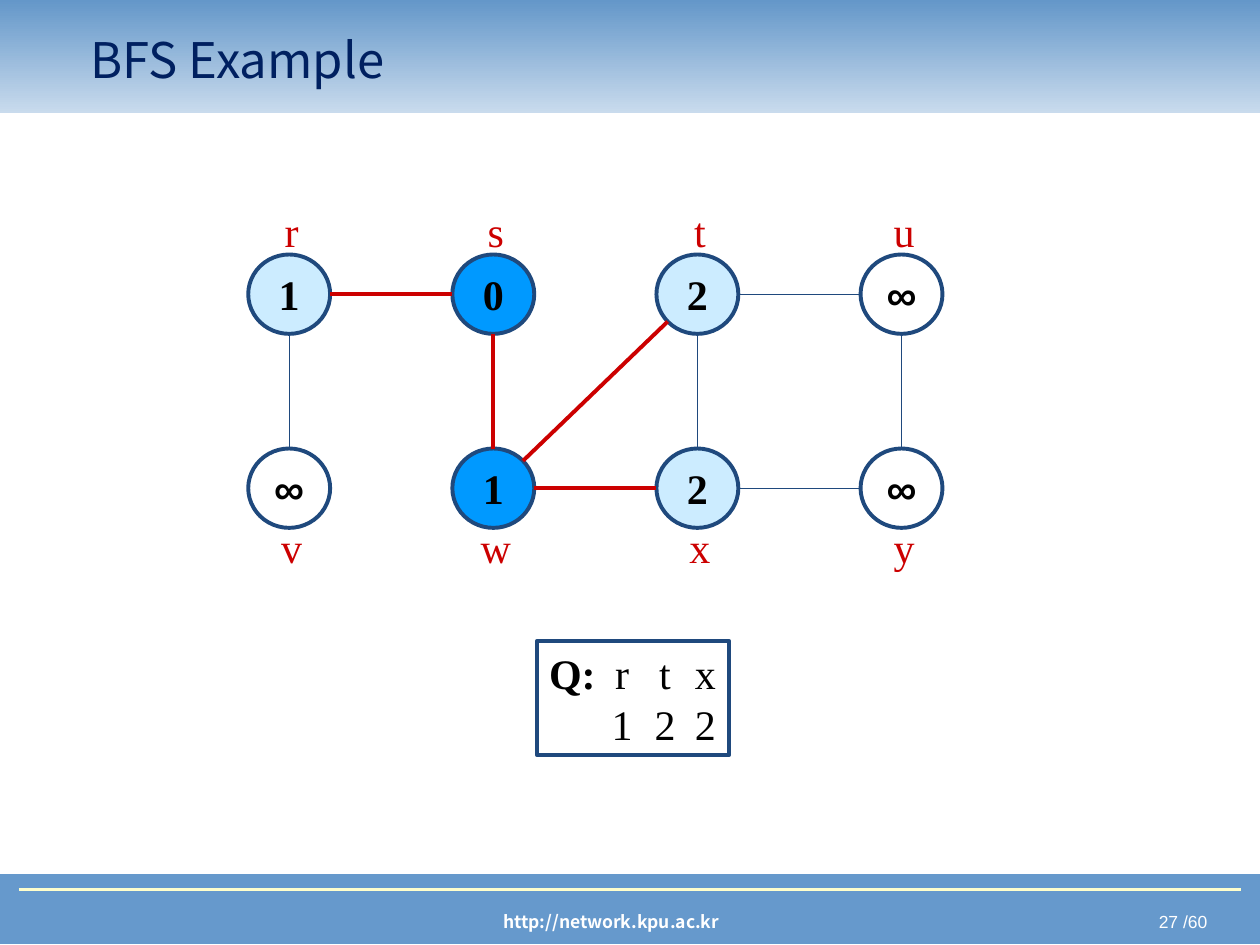
from math import hypot

from lxml import etree
from pptx import Presentation
from pptx.dml.color import RGBColor
from pptx.enum.shapes import MSO_CONNECTOR, MSO_SHAPE
from pptx.enum.text import MSO_ANCHOR, PP_ALIGN
from pptx.oxml.ns import qn
from pptx.util import Inches, Pt

RECT, OVAL = MSO_SHAPE.RECTANGLE, MSO_SHAPE.OVAL
LINE = MSO_CONNECTOR.STRAIGHT
LEFT, CENTER, RIGHT = PP_ALIGN.LEFT, PP_ALIGN.CENTER, PP_ALIGN.RIGHT
MIDDLE = MSO_ANCHOR.MIDDLE

SKY = RGBColor(0x64, 0x97, 0xC9)
PALE = RGBColor(0xC9, 0xDB, 0xED)
BLUE = RGBColor(0x66, 0x99, 0xCC)
CREAM = RGBColor(0xFF, 0xFF, 0xCC)
WHITE = RGBColor(0xFF, 0xFF, 0xFF)
BLACK = RGBColor(0, 0, 0)
NAVY = RGBColor(0x00, 0x20, 0x60)
INK = RGBColor(0x1F, 0x49, 0x7D)
RED = RGBColor(0xCC, 0, 0)
DONE = RGBColor(0x00, 0x99, 0xFF)
QUEUED = RGBColor(0xCC, 0xEC, 0xFF)

SANS, SERIF, ARIAL = "Noto Sans CJK KR", "Times New Roman", "Arial"

# name, distance, fill: two rows of four
ROWS = [
    [("r", "1", QUEUED), ("s", "0", DONE), ("t", "2", QUEUED), ("u", "∞", None)],
    [("v", "∞", None), ("w", "1", DONE), ("x", "2", QUEUED), ("y", "∞", None)],
]
# ends of each edge, and whether it is in the search tree
EDGES = [
    ("r", "s", True), ("w", "x", True), ("x", "y", False), ("t", "u", False),
    ("r", "v", False), ("s", "w", True), ("t", "x", False), ("u", "y", False),
    ("w", "t", True),
]
QUEUE = [("Q:", "\tr\tt\tx"), ("", "\t1\t2\t2")]
QUEUE_TABS = [0.58, 0.92, 1.24]

NODE_X, NODE_Y, STEP_X, STEP_Y = 1.97, 2.02, 1.62, 1.54
NODE_W, NODE_H = 0.65, 0.63
LABEL_Y, LABEL_W = [1.58, 4.09], 0.5

prs = Presentation()
prs.slide_width, prs.slide_height = Inches(10), Inches(7.5)
slide = prs.slides.add_slide(prs.slide_layouts[5])
shapes = slide.shapes


def style(par, font, size, color, align=LEFT, bold=False):
    par.alignment = align
    par.font.name, par.font.size, par.font.bold = font, Pt(size), bold
    par.font.color.rgb = color


def add_box(kind, x, y, w, h, fill=None, line=None, width=2.25):
    box = shapes.add_shape(kind, Inches(x), Inches(y), Inches(w), Inches(h))
    box.shadow.inherit = False
    if fill is None:
        box.fill.background()
    else:
        box.fill.solid()
        box.fill.fore_color.rgb = fill
    if line is None:
        box.line.fill.background()
    else:
        box.line.color.rgb, box.line.width = line, Pt(width)
    return box


def add_text(text, x, y, w, h, *look):
    frame = shapes.add_textbox(Inches(x), Inches(y), Inches(w), Inches(h)).text_frame
    frame.word_wrap = True
    frame.text = text
    style(frame.paragraphs[0], *look)


def add_line(color, width, x1, y1, x2, y2):
    line = shapes.add_connector(LINE, Inches(x1), Inches(y1), Inches(x2), Inches(y2))
    line.line.color.rgb, line.line.width = color, Pt(width)
    etree.SubElement(line._element.spPr, qn("a:effectLst"))


# Footer
add_box(RECT, 0, 6.94, 10, 0.55, BLUE, BLUE, 0.75)
add_text("27 /60", 7.42, 7.18, 2.26, 0.27, ARIAL, 10, WHITE, RIGHT)
add_text("http://network.kpu.ac.kr", 2.27, 7.18, 5.16, 0.27, SANS, 10, WHITE, CENTER, True)
add_line(CREAM, 1.5, 0.15, 7.06, 9.85, 7.06)

# Header band, with the title in front of it
band = add_box(RECT, 0, 0, 10, 0.9)
band.fill.gradient()
band.fill.gradient_angle = 270
for stop, color in zip(band.fill.gradient_stops, (SKY, PALE)):
    stop.color.rgb = color
title = shapes.title
band._element.addnext(title._element)
title.left, title.top = Inches(0.62), Inches(0.16)
title.width, title.height = Inches(8.44), Inches(0.62)
title.text_frame.text = "BFS Example"
title.text_frame.vertical_anchor = MIDDLE
style(title.text_frame.paragraphs[0], SANS, 28, NAVY)

# Graph
mids = {}
for row, items in enumerate(ROWS):
    for col, (name, dist, fill) in enumerate(items):
        x, y = NODE_X + col * STEP_X, NODE_Y + row * STEP_Y
        node = add_box(OVAL, x, y, NODE_W, NODE_H, fill, INK)
        frame = node.text_frame
        frame.margin_left = frame.margin_right = 0
        frame.margin_top = frame.margin_bottom = 0
        frame.word_wrap, frame.vertical_anchor = False, MIDDLE
        frame.text = dist
        font = ARIAL if dist == "∞" else SERIF
        style(frame.paragraphs[0], font, 24, BLACK, CENTER, True)
        label_x = x + (NODE_W - LABEL_W) / 2 + 0.02
        add_text(name, label_x, LABEL_Y[row], LABEL_W, 0.5, SERIF, 24, RED, CENTER)
        mids[name] = x + NODE_W / 2, y + NODE_H / 2

for start, end, tree in EDGES:
    (x1, y1), (x2, y2) = mids[start], mids[end]
    gap = hypot(x2 - x1, y2 - y1)
    dx, dy = (x2 - x1) / gap * NODE_W / 2, (y2 - y1) / gap * NODE_H / 2
    look = (RED, 2.25) if tree else (INK, 0.75)
    add_line(*look, x1 + dx, y1 + dy, x2 - dx, y2 - dy)

# Queue
frame = add_box(RECT, 4.26, 5.09, 1.53, 0.9, line=INK).text_frame
frame.word_wrap, frame.vertical_anchor = True, MIDDLE
frame.margin_right = 0
for i, (head, rest) in enumerate(QUEUE):
    par = frame.add_paragraph() if i else frame.paragraphs[0]
    tabs = etree.SubElement(par._p.get_or_add_pPr(), qn("a:tabLst"))
    for pos in QUEUE_TABS:
        etree.SubElement(tabs, qn("a:tab"), pos=str(Inches(pos)), algn="ctr")
    style(par, SERIF, 24, BLACK)
    if head:
        run = par.add_run()
        run.text, run.font.bold = head, True
    par.add_run().text = rest

prs.save("out.pptx")
